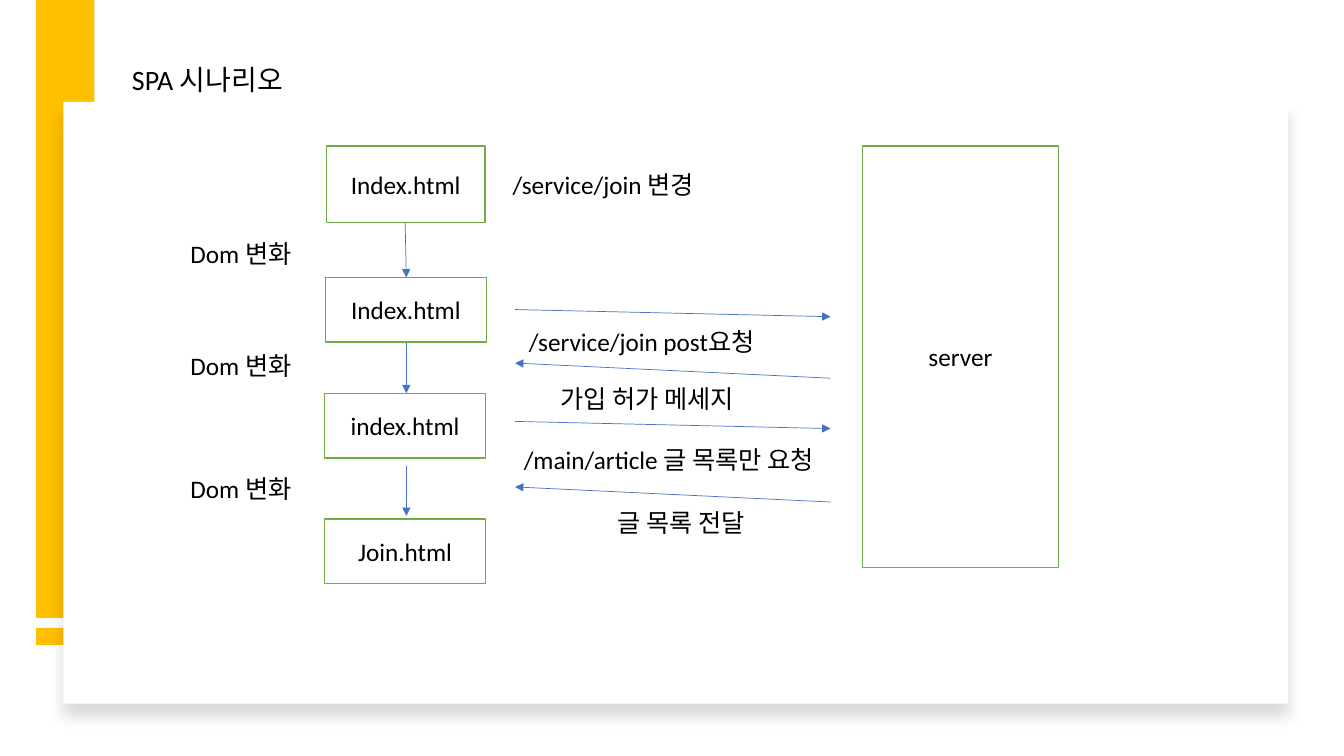
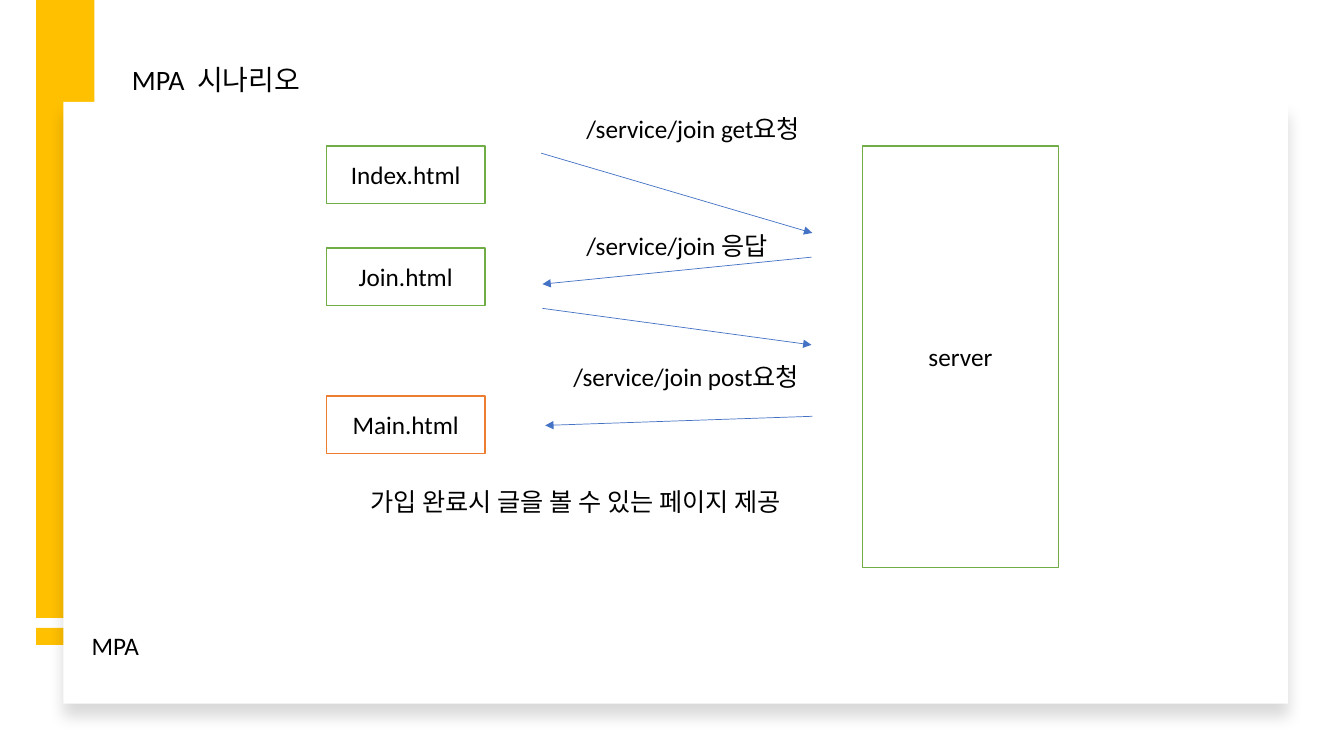
import dataclasses

import lxml.etree
import pptx
import pptx.dml.color
import pptx.enum.shapes
import pptx.enum.text
import pptx.oxml.ns
import pptx.shapes.autoshape
import pptx.slide
import pptx.text.text
import pptx.util
from pptx.dml.color import RGBColor
from pptx.enum.text import MSO_ANCHOR, PP_ALIGN
from pptx.util import Cm

BLACK = RGBColor(0x00, 0x00, 0x00)
WHITE = RGBColor(0xFF, 0xFF, 0xFF)
GOLD = RGBColor(0xFF, 0xC0, 0x00)
GREEN = RGBColor(0x70, 0xAD, 0x47)
ORANGE = RGBColor(0xED, 0x7D, 0x31)
BLUE = RGBColor(0x44, 0x72, 0xC4)

FONT = "Calibri"
TITLE_ONLY_LAYOUT = 5
LABEL_HEIGHT = 1.02


# All positions and sizes below are in centimetres.
@dataclasses.dataclass(frozen=True)
class Box:
    text: str
    left: float
    top: float
    width: float
    height: float
    outline: RGBColor = GREEN


@dataclasses.dataclass(frozen=True)
class Label:
    text: str
    left: float
    top: float
    width: float


@dataclasses.dataclass(frozen=True)
class Arrow:
    start_x: float
    start_y: float
    end_x: float
    end_y: float


@dataclasses.dataclass(frozen=True)
class Scenario:
    title: str
    boxes: list[Box]
    labels: list[Label]
    arrows: list[Arrow]


SERVER = Box("server", 21.74, 3.68, 4.93, 10.62)
CLIENT_X, SERVER_X = 12.98, 20.93


def request(top: float) -> Arrow:
    return Arrow(CLIENT_X, top, SERVER_X, top + 0.18)


def response(top: float) -> Arrow:
    return Arrow(SERVER_X, top, CLIENT_X, top - 0.38)


def page(text: str, top: float, outline: RGBColor = GREEN) -> Box:
    return Box(text, 8.23, top, 3.99, 1.45, outline)


SCENARIOS = [
    Scenario(
        "SPA 시나리오",
        boxes=[
            Box("Index.html", 8.23, 3.68, 3.99, 1.93),
            Box("Index.html", 8.2, 6.99, 4.06, 1.63),
            Box("index.html", 8.18, 9.91, 4.06, 1.63),
            Box("Join.html", 8.18, 13.08, 4.06, 1.63),
            SERVER,
        ],
        labels=[
            Label("/service/join 변경", 12.67, 4.14, 5.82),
            Label("/service/join post요청", 13.08, 8.1, 6.78),
            Label("가입 허가 메세지", 13.87, 9.53, 5.69),
            Label("/main/article 글 목록만 요청", 12.95, 11.07, 8.31),
            Label("글 목록 전달", 15.32, 12.65, 8.31),
            *(Label("Dom 변화", 4.55, top, 5.82) for top in (5.87, 8.71, 11.81)),
        ],
        arrows=[
            Arrow(10.21, 5.61, 10.24, 6.99),
            Arrow(10.24, 8.64, 10.24, 9.91),
            Arrow(10.24, 11.73, 10.24, 13.0),
            request(7.8),
            response(9.53),
            request(10.62),
            response(12.65),
        ],
    ),
    Scenario(
        "MPA  시나리오",
        boxes=[
            page("Index.html", 3.68),
            page("Join.html", 6.25),
            page("Main.html", 9.98, ORANGE),
            SERVER,
        ],
        labels=[
            Label("/service/join get요청", 14.53, 2.74, 6.65),
            Label("/service/join 응답", 14.53, 5.69, 5.69),
            Label("/service/join post요청", 14.2, 8.97, 6.78),
            Label("가입 완료시 글을 볼 수 있는 페이지 제공", 9.09, 12.12, 12.22),
            Label("MPA", 2.06, 15.77, 12.22),
        ],
        arrows=[
            Arrow(13.64, 3.86, 20.47, 5.87),
            Arrow(20.45, 6.48, 13.67, 7.16),
            Arrow(13.67, 7.77, 20.45, 8.69),
            Arrow(20.47, 10.49, 13.74, 10.72),
        ],
    ),
]


def add_element(
    parent: lxml.etree._Element, tag: str, **attributes: str
) -> lxml.etree._Element:
    return lxml.etree.SubElement(parent, pptx.oxml.ns.qn(tag), attributes)


def write_text(
    frame: pptx.text.text.TextFrame,
    text: str,
    *,
    size: float = 18,
    align: PP_ALIGN = PP_ALIGN.LEFT,
    anchor: MSO_ANCHOR = MSO_ANCHOR.TOP,
) -> None:
    frame.word_wrap = True
    frame.auto_size = pptx.enum.text.MSO_AUTO_SIZE.NONE
    frame.vertical_anchor = anchor
    paragraph = frame.paragraphs[0]
    paragraph.alignment = align
    run = paragraph.add_run()
    run.text = text
    run.font.name = FONT
    run.font.size = pptx.util.Pt(size)
    run.font.color.rgb = BLACK


def add_rectangle(
    slide: pptx.slide.Slide,
    left: float,
    top: float,
    width: float,
    height: float,
    *,
    fill: RGBColor,
    outline: RGBColor | None = None,
) -> pptx.shapes.autoshape.Shape:
    shape = slide.shapes.add_shape(
        pptx.enum.shapes.MSO_SHAPE.RECTANGLE, Cm(left), Cm(top), Cm(width), Cm(height)
    )
    shape.shadow.inherit = False
    shape.fill.solid()
    shape.fill.fore_color.rgb = fill
    if outline is None:
        shape.line.fill.background()
    else:
        shape.line.color.rgb = outline
        shape.line.width = pptx.util.Pt(1)
    return shape


def add_soft_shadow(shape: pptx.shapes.autoshape.Shape) -> None:
    effects = shape.element.spPr.find(pptx.oxml.ns.qn("a:effectLst"))
    shadow = add_element(
        effects,
        "a:outerShdw",
        blurRad=str(pptx.util.Pt(11)),
        dist=str(pptx.util.Pt(10)),
        dir="5400000",
        algn="t",
        rotWithShape="0",
    )
    color = add_element(shadow, "a:srgbClr", val=str(BLACK))
    add_element(color, "a:alpha", val="15000")


def add_frame(slide: pptx.slide.Slide, title: str) -> None:
    """Draw the gold bands, the white panel and the title."""
    for top, height in ((0, 15.57), (15.82, 0.43)):
        add_rectangle(slide, 0.91, top, 1.47, height, fill=GOLD)
    add_soft_shadow(add_rectangle(slide, 1.6, 2.57, 30.86, 15.16, fill=WHITE))
    heading = slide.shapes.title
    heading.left, heading.top = Cm(3.07), Cm(1.45)
    heading.width, heading.height = Cm(16.05), Cm(1.12)
    write_text(heading.text_frame, title, size=20)


def add_box(slide: pptx.slide.Slide, box: Box) -> None:
    shape = add_rectangle(
        slide, box.left, box.top, box.width, box.height, fill=WHITE, outline=box.outline
    )
    write_text(
        shape.text_frame, box.text, align=PP_ALIGN.CENTER, anchor=MSO_ANCHOR.MIDDLE
    )


def add_label(slide: pptx.slide.Slide, label: Label) -> None:
    shape = slide.shapes.add_textbox(
        Cm(label.left), Cm(label.top), Cm(label.width), Cm(LABEL_HEIGHT)
    )
    write_text(shape.text_frame, label.text)


def add_arrow(slide: pptx.slide.Slide, arrow: Arrow) -> None:
    connector = slide.shapes.add_connector(
        pptx.enum.shapes.MSO_CONNECTOR.STRAIGHT,
        Cm(arrow.start_x),
        Cm(arrow.start_y),
        Cm(arrow.end_x),
        Cm(arrow.end_y),
    )
    connector.line.color.rgb = BLUE
    connector.line.width = pptx.util.Pt(0.5)
    properties = connector.element.spPr
    add_element(properties.find(pptx.oxml.ns.qn("a:ln")), "a:tailEnd", type="triangle")
    add_element(properties, "a:effectLst")


def main() -> None:
    presentation = pptx.Presentation()
    presentation.slide_width = Cm(33.87)
    presentation.slide_height = Cm(19.05)
    for scenario in SCENARIOS:
        slide = presentation.slides.add_slide(
            presentation.slide_layouts[TITLE_ONLY_LAYOUT]
        )
        add_frame(slide, scenario.title)
        for box in scenario.boxes:
            add_box(slide, box)
        for arrow in scenario.arrows:
            add_arrow(slide, arrow)
        for label in scenario.labels:
            add_label(slide, label)
    presentation.save("out.pptx")


if __name__ == "__main__":
    main()
